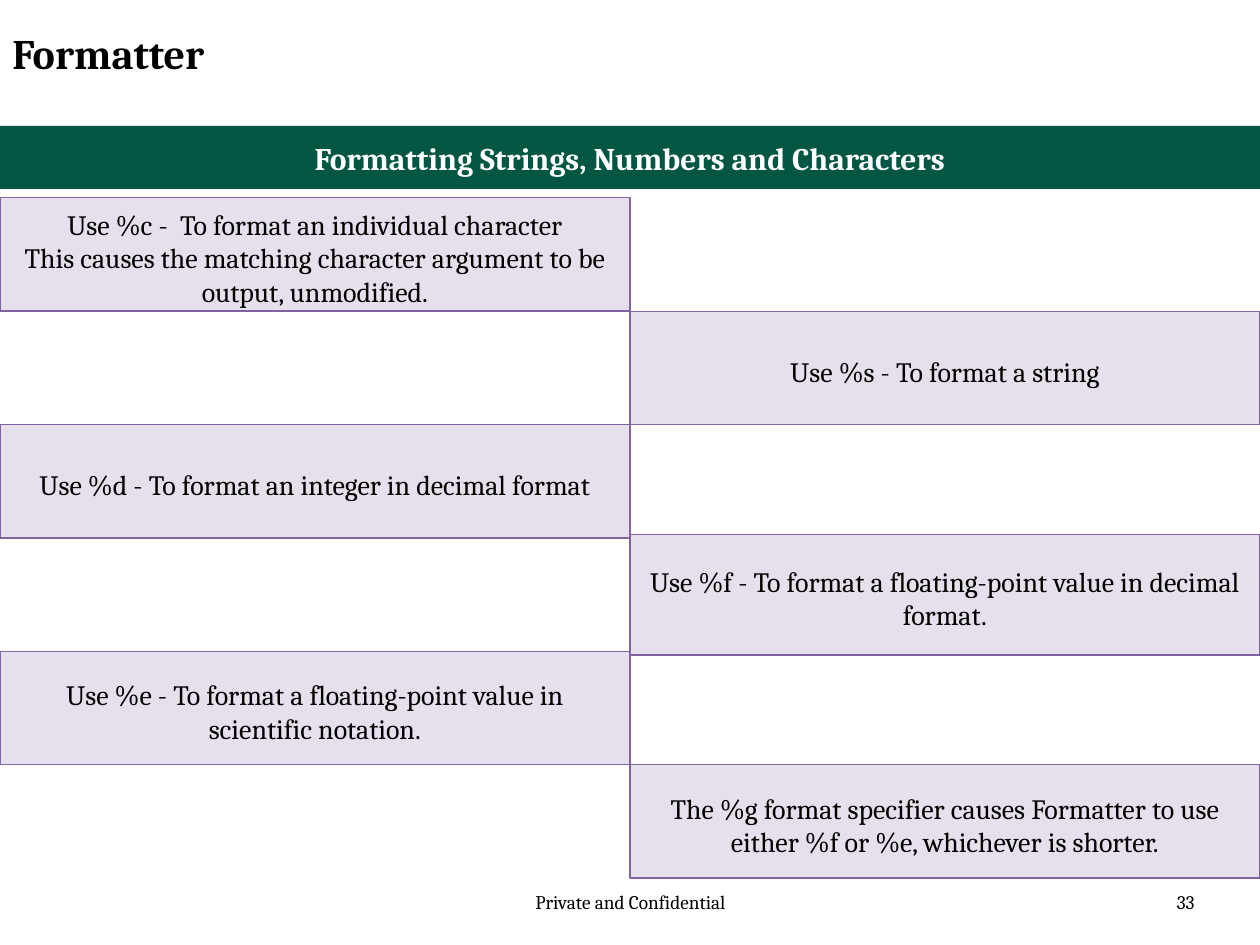
from dataclasses import dataclass

from pptx import Presentation
from pptx import util as u
from pptx.dml import color
from pptx.enum import shapes, text


@dataclass(frozen=True)
class Theme:
    """Colours, font and type sizes of the slide."""
    font: str = "Cambria"
    ink: str = "000000"
    white: str = "FFFFFF"
    green: str = "035642"
    lilac: str = "E6E0EC"
    purple: str = "8064A2"
    title: int = 24
    heading: int = 18
    body: int = 16
    footer: int = 11


THEME = Theme()
ALIGN = text.PP_ALIGN
ANCHOR = text.MSO_ANCHOR
CARD_HEIGHT = 0.9
SPECIFIERS = [
    ("Use %c -  To format an individual character",
     "This causes the matching character argument to be output, unmodified."),
    ("Use %s - To format a string",),
    ("Use %d - To format an integer in decimal format",),
    ("Use %f - To format a floating-point value in decimal format.",),
    ("Use %e - To format a floating-point value in scientific notation.",),
    ("The %g format specifier causes Formatter to use either %f or %e, whichever is shorter.",),
]
TALL_CARDS = {3: (-0.03, 0.96)}


def rgb(value):
    """Turn a hex string into a colour."""
    return color.RGBColor.from_string(value)


def write(holder, *lines, size=THEME.body, ink=THEME.ink, bold=False,
          align=ALIGN.CENTER, anchor=ANCHOR.MIDDLE, top=0.1, bottom=0.1):
    """Write one paragraph per line into a shape."""
    frame = holder.text_frame
    frame.word_wrap = True
    frame.vertical_anchor = anchor
    frame.margin_left = frame.margin_right = u.Inches(0.1)
    frame.margin_top, frame.margin_bottom = u.Inches(top), u.Inches(bottom)
    for index, line in enumerate(lines):
        paragraph = frame.add_paragraph() if index else frame.paragraphs[0]
        paragraph.alignment = align
        run = paragraph.add_run()
        run.text = line
        run.font.name, run.font.size, run.font.bold = THEME.font, u.Pt(size), bold
        run.font.color.rgb = rgb(ink)


def add_panel(slide, box, fill, border=None):
    """Add a filled rectangle with an optional thin border."""
    panel = slide.shapes.add_shape(shapes.MSO_SHAPE.RECTANGLE, *map(u.Inches, box))
    panel.shadow.inherit = False
    panel.fill.solid()
    panel.fill.fore_color.rgb = rgb(fill)
    if border:
        panel.line.color.rgb = rgb(border)
        panel.line.width = u.Pt(0.75)
    else:
        panel.line.fill.background()
    return panel


def add_label(slide, box, label, **style):
    """Add a plain top-anchored text box."""
    holder = slide.shapes.add_textbox(*map(u.Inches, box))
    write(holder, label, anchor=ANCHOR.TOP, top=0.05, bottom=0.05, **style)


def add_heading(slide, box):
    """Add the green heading band."""
    write(add_panel(slide, box, THEME.green), "Formatting Strings, Numbers and Characters",
          size=THEME.heading, ink=THEME.white, bold=True)


def add_specifiers(slide, box):
    """Place the specifier cards alternately in two columns, one per row."""
    left, top, width, height = box
    card_width, pitch = width / 2, height / len(SPECIFIERS)
    for row, lines in enumerate(SPECIFIERS):
        shift, card_height = TALL_CARDS.get(row, (0, CARD_HEIGHT))
        place = (left + row % 2 * card_width, top + row * pitch + shift, card_width, card_height)
        write(add_panel(slide, place, THEME.lilac, THEME.purple), *lines, bottom=0.05)


def add_footer(slide, box):
    """Add the confidentiality note and the page number."""
    left, top, width, height = box
    add_label(slide, (left + 3.42, top, 3.17, height), "Private and Confidential", size=THEME.footer)
    add_label(slide, (left + width - 2.75, top, 2.33, height), "33",
              size=THEME.footer, align=ALIGN.RIGHT)


def main():
    """Build and save the slide."""
    deck = Presentation()
    deck.slide_width, deck.slide_height = u.Inches(10), u.Inches(7.5)
    slide = deck.slides.add_slide(deck.slide_layouts[6])
    add_footer(slide, (0, 7.02, 10, 0.4))
    add_label(slide, (0, 0.17, 7.58, 0.62), "Formatter",
              size=THEME.title, bold=True, align=ALIGN.LEFT)
    add_heading(slide, (0, 1, 10, 0.5))
    add_specifiers(slide, (0, 1.57, 10, 5.4))
    deck.save("out.pptx")


if __name__ == "__main__":
    main()
